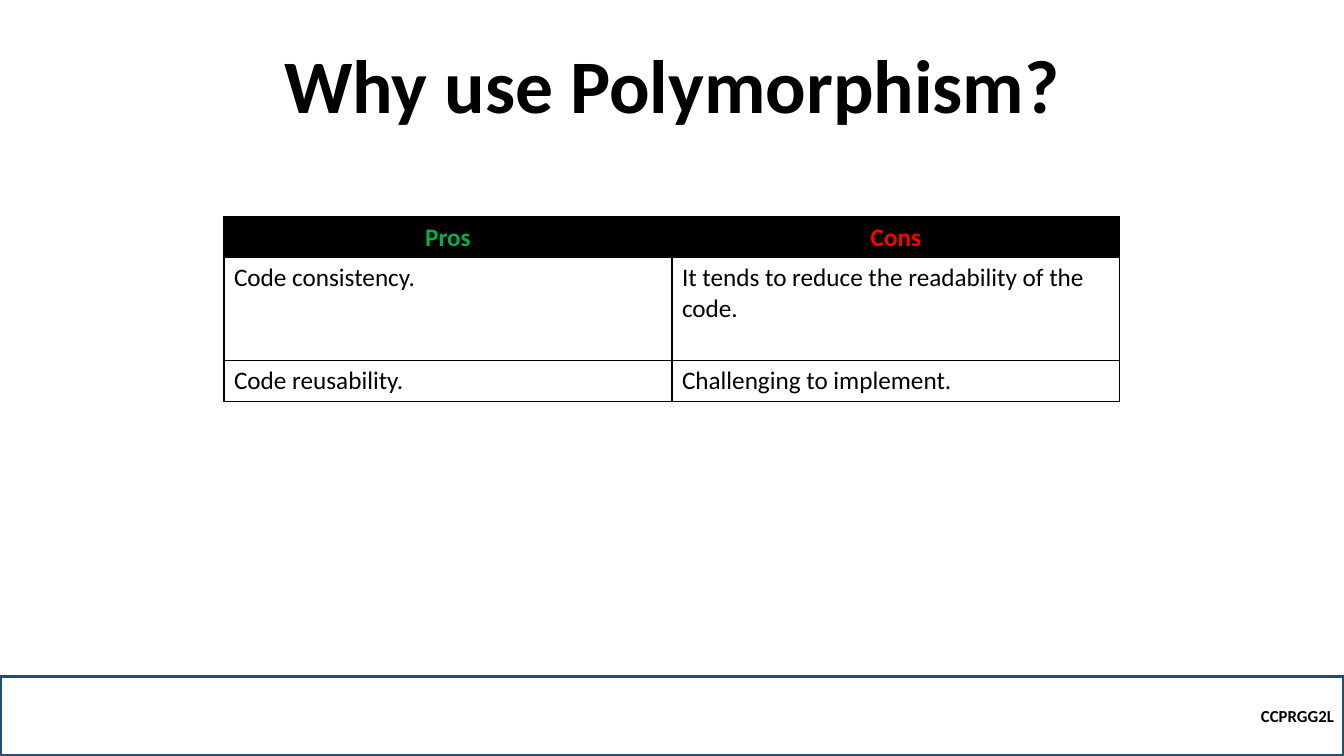
from dataclasses import dataclass

from pptx import Presentation
from pptx.dml.color import RGBColor
from pptx.enum import shapes, text
from pptx.oxml import ns, xmlchemy as x
from pptx.util import Pt


@dataclass(frozen=True)
class Theme:
    """Colours, font and type sizes of the slide."""
    font: str = "Calibri"
    black: str = "000000"
    white: str = "FFFFFF"
    pros: str = "00B050"
    cons: str = "FF0000"
    rule: str = "1F4E79"
    title: int = 54
    body: int = 18
    footer: int = 12


THEME = Theme()
ROWS = [
    ("Pros", "Cons"),
    ("Code consistency.", "It tends to reduce the readability of the code."),
    ("Code reusability.", "Challenging to implement."),
]
ROW_HEIGHTS = (29.2, 73.2, 29.2)


def rgb(colour):
    """Turn a hex string into a colour."""
    return RGBColor.from_string(colour)


def write(tf, words, size, colour=THEME.black, bold=True, align=text.PP_ALIGN.LEFT):
    """Fill a text frame with one formatted paragraph."""
    tf.text = words
    p = tf.paragraphs[0]
    p.alignment = align
    r = p.runs[0]
    r.font.name = THEME.font
    r.font.size = Pt(size)
    r.font.bold = bold
    r.font.color.rgb = rgb(colour)
    return p


def add_title(s, words):
    """Place and format the title placeholder."""
    sp = s.shapes.title
    sp.left, sp.top, sp.width, sp.height = Pt(120), Pt(39), Pt(720), Pt(57)
    tf = sp.text_frame
    tf.auto_size = text.MSO_AUTO_SIZE.NONE
    tf.vertical_anchor = text.MSO_ANCHOR.BOTTOM
    p = write(tf, words, THEME.title, align=text.PP_ALIGN.CENTER)
    p.line_spacing = 0.9


def add_footer(s, words):
    """Draw the outlined band along the foot of the slide."""
    sp = s.shapes.add_shape(shapes.MSO_SHAPE.RECTANGLE, 0, Pt(483), Pt(960), Pt(57))
    sp.shadow.inherit = False
    sp.fill.background()
    sp.line.color.rgb = rgb(THEME.rule)
    sp.line.width = Pt(2.25)
    sp.text_frame.vertical_anchor = text.MSO_ANCHOR.MIDDLE
    write(sp.text_frame, words, THEME.footer, align=text.PP_ALIGN.RIGHT)


def set_borders(cell, width):
    """Give a cell a solid line on all four sides."""
    tc_pr = cell._tc.get_or_add_tcPr()
    for side in ("lnL", "lnR", "lnT", "lnB"):
        ln = x.OxmlElement(f"a:{side}")
        ln.set("w", str(Pt(width)))
        fill = x.OxmlElement("a:solidFill")
        clr = x.OxmlElement("a:srgbClr")
        clr.set("val", THEME.black)
        fill.append(clr)
        ln.append(fill)
        tc_pr.append(ln)


def add_comparison(s, rows, heights):
    """Add the table of pros and cons."""
    table = s.shapes.add_table(len(rows), len(rows[0]), Pt(160), Pt(155),
                               Pt(640), Pt(sum(heights))).table
    table.horz_banding = False
    for i, (row, height) in enumerate(zip(rows, heights)):
        table.rows[i].height = Pt(height)
        for j, words in enumerate(row):
            cell = table.cell(i, j)
            set_borders(cell, 1)
            cell.fill.solid()
            if i == 0:
                cell.fill.fore_color.rgb = rgb(THEME.black)
                write(cell.text_frame, words, THEME.body, (THEME.pros, THEME.cons)[j],
                      align=text.PP_ALIGN.CENTER)
            else:
                cell.fill.fore_color.rgb = rgb(THEME.white)
                write(cell.text_frame, words, THEME.body, bold=False)


def main():
    """Build and save the slide."""
    prs = Presentation()
    prs.slide_width, prs.slide_height = Pt(960), Pt(540)
    s = prs.slides.add_slide(prs.slide_layouts[5])
    add_title(s, "Why use Polymorphism?")
    add_footer(s, "CCPRGG2L")
    add_comparison(s, ROWS, ROW_HEIGHTS)
    prs.save("out.pptx")


if __name__ == "__main__":
    main()
